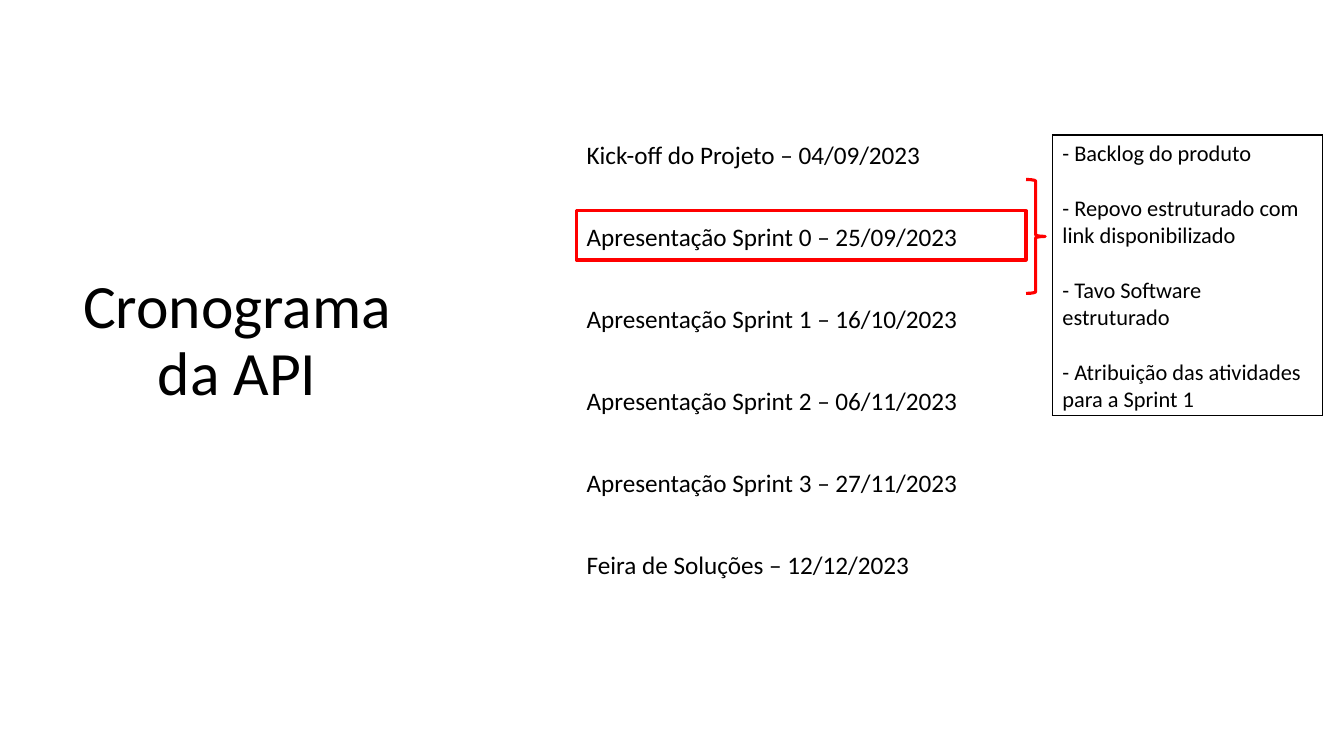
from lxml import etree
from pptx import Presentation
from pptx.dml.color import RGBColor
from pptx.enum.shapes import MSO_SHAPE
from pptx.enum.text import MSO_ANCHOR, PP_ALIGN
from pptx.oxml.ns import qn
from pptx.util import Pt

RECTANGLE = MSO_SHAPE.RECTANGLE
RIGHT_BRACE = MSO_SHAPE.RIGHT_BRACE
MIDDLE = MSO_ANCHOR.MIDDLE
CENTER = PP_ALIGN.CENTER

BLACK = RGBColor(0, 0, 0)
WHITE = RGBColor(255, 255, 255)
RED = RGBColor(255, 0, 0)

TITLE = "Cronograma da API"
MILESTONES = [
    "Kick-off do Projeto – 04/09/2023",
    "Apresentação Sprint 0 – 25/09/2023",
    "Apresentação Sprint 1 – 16/10/2023",
    "Apresentação Sprint 2 – 06/11/2023",
    "Apresentação Sprint 3 – 27/11/2023",
    "Feira de Soluções – 12/12/2023",
]
DELIVERABLES = [
    "- Backlog do produto",
    "- Repovo estruturado com link disponibilizado",
    "- Tavo Software estruturado",
    "- Atribuição das atividades para a Sprint 1",
]

TABLE_TOP = 96.5
TIMELINE_LEFT, TIMELINE_WIDTH = 411.8, 321.1


def set_attributes(target, values):
    for name, value in values.items():
        setattr(target, name, value)


class SlideBuilder:
    def __init__(self, slide, font="Calibri"):
        self.slide = slide
        self.font = font

    def add_lines(self, frame, lines, size, **paragraph_format):
        for index, line in enumerate(lines):
            paragraph = frame.add_paragraph() if index else frame.paragraphs[0]
            set_attributes(paragraph, paragraph_format)
            if not index:
                paragraph.space_before = Pt(0)
            run = paragraph.add_run()
            run.text = line
            set_attributes(run.font, {"name": self.font, "size": Pt(size)})
            run.font.color.rgb = BLACK

    def text(self, box, line, size, frame_format, **paragraph_format):
        frame = self.slide.shapes.add_textbox(*map(Pt, box)).text_frame
        set_attributes(frame, {"word_wrap": True, **frame_format})
        self.add_lines(frame, [line], size, **paragraph_format)

    def table(self, box, rows, size, border=None, **paragraph_format):
        """Each row is one cell, given as a list of paragraphs."""
        table = self.slide.shapes.add_table(len(rows), 1, *map(Pt, box)).table
        set_attributes(table, {"first_row": False, "horz_banding": False})
        for index, lines in enumerate(rows):
            cell = table.cell(index, 0)
            if border is not None:
                self.border(cell, border)
            cell.fill.solid()
            cell.fill.fore_color.rgb = WHITE
            self.add_lines(cell.text_frame, lines, size, **paragraph_format)

    def border(self, cell, color, width=1):
        properties = cell._tc.get_or_add_tcPr()
        for side in ("a:lnL", "a:lnR", "a:lnT", "a:lnB"):
            line = etree.SubElement(properties, qn(side), w=str(Pt(width)))
            fill = etree.SubElement(line, qn("a:solidFill"))
            etree.SubElement(fill, qn("a:srgbClr"), val=str(color))

    def outline(self, kind, box, color, width=2.25):
        shape = self.slide.shapes.add_shape(kind, *map(Pt, box))
        shape.shadow.inherit = False
        shape.fill.background()
        shape.line.color.rgb = color
        shape.line.width = Pt(width)


def main():
    presentation = Presentation()
    set_attributes(presentation, {"slide_width": Pt(960), "slide_height": Pt(540)})
    builder = SlideBuilder(presentation.slides.add_slide(presentation.slide_layouts[6]))

    # Timeline
    builder.table((TIMELINE_LEFT, TABLE_TOP, TIMELINE_WIDTH, 351.4),
                  [[milestone] for milestone in MILESTONES], 18)

    # Title, raised above the middle of its box
    builder.text((48.2, 41, 242.6, 454.3), TITLE, 44,
                 {"vertical_anchor": MIDDLE, "margin_bottom": Pt(51)},
                 alignment=CENTER, line_spacing=0.9)

    # Current sprint highlight and its brace
    builder.outline(RECTANGLE, (TIMELINE_LEFT, 150.5, TIMELINE_WIDTH, 35.3), RED)
    builder.outline(RIGHT_BRACE, (TIMELINE_LEFT + TIMELINE_WIDTH, 128.2, 13.7, 81.4), RED)

    # Deliverables of the current sprint
    builder.table((751.7, TABLE_TOP, 193, 183), [DELIVERABLES], 16,
                  border=BLACK, space_before=Pt(19.5))

    presentation.save("out.pptx")


if __name__ == "__main__":
    main()
